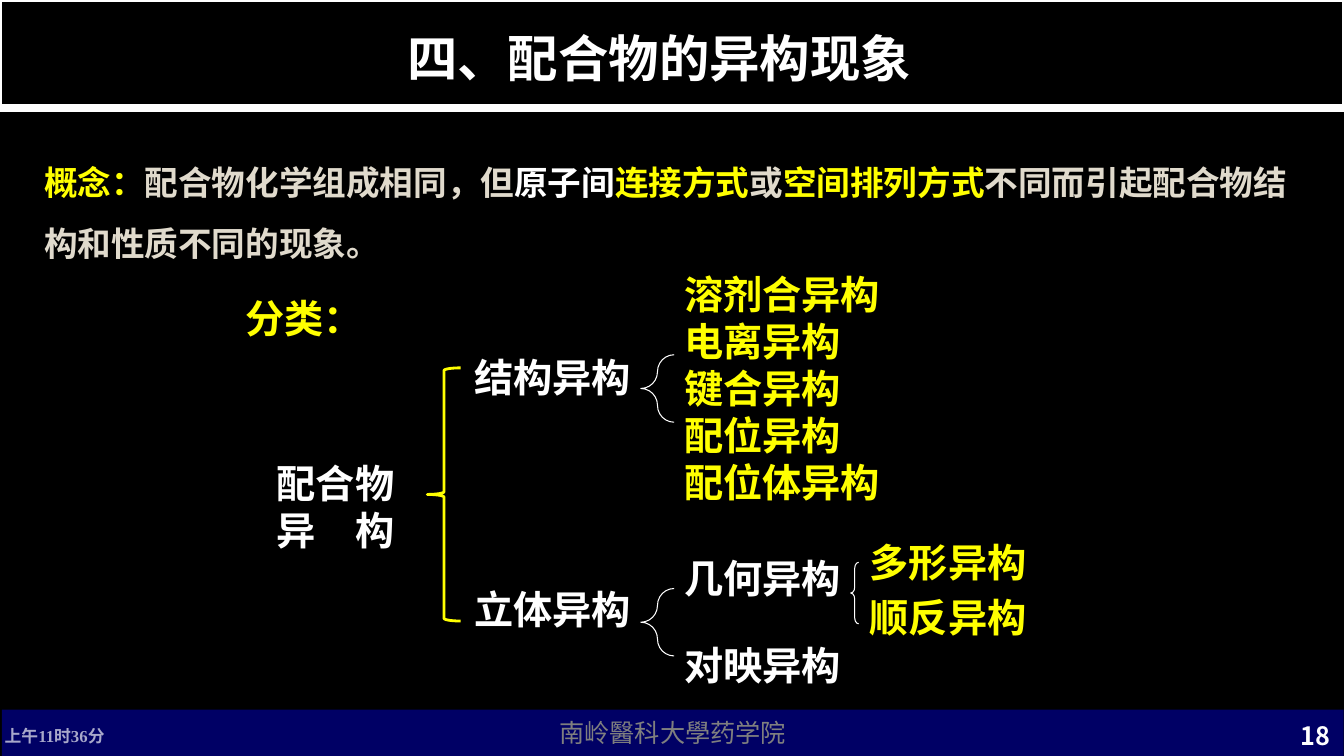
from dataclasses import dataclass

from lxml import etree
from pptx import Presentation
from pptx.dml.color import RGBColor
from pptx.enum.shapes import MSO_CONNECTOR, MSO_SHAPE as SHAPE
from pptx.enum.text import MSO_ANCHOR as ANCHOR, PP_ALIGN as ALIGN
from pptx.oxml.ns import qn
from pptx.util import Cm, Pt

BLACK = RGBColor(0x00, 0x00, 0x00)
WHITE = RGBColor(0xFF, 0xFF, 0xFF)
YELLOW = RGBColor(0xFF, 0xFF, 0x00)
CREAM = RGBColor(0xE0, 0xDA, 0xCC)
BLUE = RGBColor(0x00, 0x00, 0xCC)
SANS, SERIF = "Noto Sans CJK SC", "Times New Roman"
WIDTH, HEIGHT, HEADER = 33.87, 19.05, 2.72

Box = tuple[float, float, float, float]
Run = tuple[str, RGBColor]


@dataclass
class Label:
    box: Box
    lines: list[str]
    color: RGBColor = WHITE
    font: str = SERIF
    align: ALIGN = ALIGN.LEFT
    gap: float = 0


@dataclass
class Brace:
    box: Box
    curve: float
    color: RGBColor = WHITE
    width: float = 0.75


LABELS = [
    Label((5.94, 7.29, 3.53, 1.45), ["分类："], YELLOW),
    Label((6.45, 11.46, 4.01, 2.64), ["配合物", "异　构"], align=ALIGN.CENTER),
    Label((11.71, 8.79, 6.55, 1.45), ["结构异构"]),
    Label((11.71, 14.63, 5.72, 1.45), ["立体异构"]),
    Label((16.99, 6.68, 5.72, 6.25),
          ["溶剂合异构", "电离异构", "键合异构", "配位异构", "配位体异构"],
          YELLOW, SANS),
    Label((16.99, 13.84, 4.65, 1.45), ["几何异构"]),
    Label((16.99, 16.03, 6.15, 1.45), ["对映异构"]),
    Label((21.67, 13.44, 4.52, 2.9), ["多形异构", "顺反异构"], YELLOW, SANS, gap=5.6),
]
BRACES = [
    Brace((10.77, 9.27, 0.84, 6.38), 0.08, YELLOW, 2),
    Brace((16.15, 8.94, 0.84, 1.7), 0.92),
    Brace((16.15, 14.83, 0.84, 1.7), 0.56),
    Brace((21.44, 14.17, 0.2, 1.55), 0.75),
]
CONCEPT: list[Run] = [
    ("概念：", YELLOW),
    ("配合物化学组成相同，但", CREAM),
    ("原子间", WHITE),
    ("连接方式", YELLOW),
    ("或", CREAM),
    ("空间排列方式", YELLOW),
    ("不同而引起配合物结构和性质不同的现象。", CREAM),
]


def set_alpha(element, percent: int) -> None:
    color = next(element.iter(qn("a:srgbClr")))
    etree.SubElement(color, qn("a:alpha")).set("val", str(percent * 1000))


def write(tf, lines: list[list[Run]], size: float, font: str = SANS,
          align: ALIGN = ALIGN.LEFT, anchor: ANCHOR = ANCHOR.TOP,
          bold: bool = True, **spacing) -> None:
    tf.word_wrap = True
    tf.vertical_anchor = anchor
    for i, runs in enumerate(lines):
        p = tf.add_paragraph() if i else tf.paragraphs[0]
        for name, value in {"alignment": align, **spacing}.items():
            setattr(p, name, value)
        for text, color in runs:
            r = p.add_run()
            r.text = text
            for name, value in {"size": Pt(size), "bold": bold, "name": font}.items():
                setattr(r.font, name, value)
            r.font.color.rgb = color
            etree.SubElement(r.font._element, qn("a:ea")).set("typeface", SANS)


def add_textbox(s, box: Box, lines: list[list[Run]], size: float, **style):
    tb = s.shapes.add_textbox(*map(Cm, box))
    write(tb.text_frame, lines, size, **style)
    return tb


def add_panel(s, box: Box, fill: RGBColor):
    sp = s.shapes.add_shape(SHAPE.RECTANGLE, *map(Cm, box))
    sp.shadow.inherit = False
    sp.fill.solid()
    sp.fill.fore_color.rgb = fill
    sp.line.fill.background()
    return sp


def add_label(s, label: Label) -> None:
    add_textbox(s, label.box, [[(line, label.color)] for line in label.lines], 28,
                font=label.font, align=label.align, space_before=Pt(label.gap))


def add_brace(s, brace: Brace) -> None:
    sp = s.shapes.add_shape(SHAPE.LEFT_BRACE, *map(Cm, brace.box))
    sp.shadow.inherit = False
    sp.adjustments[0] = brace.curve
    sp.fill.background()
    sp.line.color.rgb = brace.color
    sp.line.width = Pt(brace.width)


def main() -> None:
    prs = Presentation()
    prs.slide_width, prs.slide_height = Cm(WIDTH), Cm(HEIGHT)
    s = prs.slides.add_slide(prs.slide_layouts[5])
    s.background.fill.solid()
    s.background.fill.fore_color.rgb = BLACK
    title = s.shapes.title

    # Footer band under a dark veil
    footer = add_panel(s, (0.05, 17.88, 33.81, 1.17), BLUE)
    write(footer.text_frame, [[("南岭醫科大學药学院", WHITE)]], 18,
          align=ALIGN.CENTER, anchor=ANCHOR.MIDDLE, bold=False)
    veil = add_panel(s, (0, 0, WIDTH, HEIGHT), BLACK)
    set_alpha(veil.fill._xPr, 50)

    # Header band and rule
    header = add_panel(s, (0, 0, WIDTH, HEADER), BLACK)
    header.line.color.rgb = WHITE
    header.line.width = Pt(3)
    rule = s.shapes.add_connector(MSO_CONNECTOR.STRAIGHT, 0, Cm(HEADER),
                                  Cm(WIDTH), Cm(HEADER))
    rule.line.color.rgb = WHITE
    rule.line.width = Pt(6)
    etree.SubElement(rule._element.spPr, qn("a:effectLst"))

    # Time and page number
    clock = add_textbox(s, (-0.13, 18.19, 5.44, 0.69), [[("上午11时36分", WHITE)]],
                        12, font=SERIF, anchor=ANCHOR.MIDDLE)
    set_alpha(clock._element, 65)
    add_textbox(s, (30.53, 18.19, 3.25, 0.69), [[("18", WHITE)]], 18,
                align=ALIGN.RIGHT, anchor=ANCHOR.MIDDLE)

    # Title, raised above the header band
    s.shapes._spTree.append(title._element)
    title.left, title.top, title.width, title.height = map(Cm, (5.94, 0.33, 21.34, 2.01))
    write(title.text_frame, [[("四、配合物的异构现象", WHITE)]], 36,
          align=ALIGN.CENTER, anchor=ANCHOR.BOTTOM)

    # Concept and classification tree
    add_textbox(s, (0.86, 3.45, 32, 3.33), [CONCEPT], 24, line_spacing=1.5)
    for label in LABELS:
        add_label(s, label)
    for brace in BRACES:
        add_brace(s, brace)

    prs.save("out.pptx")


if __name__ == "__main__":
    main()
